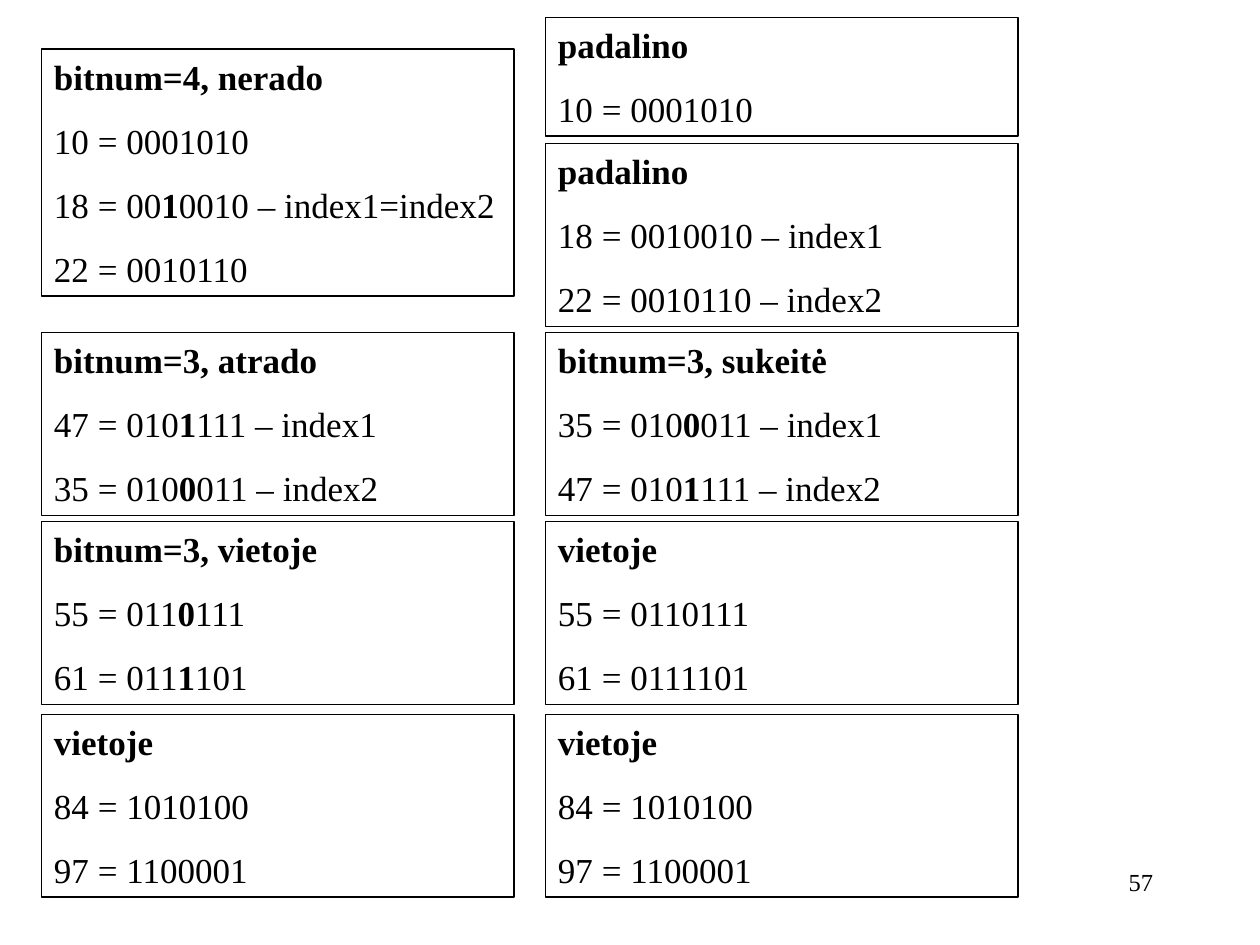
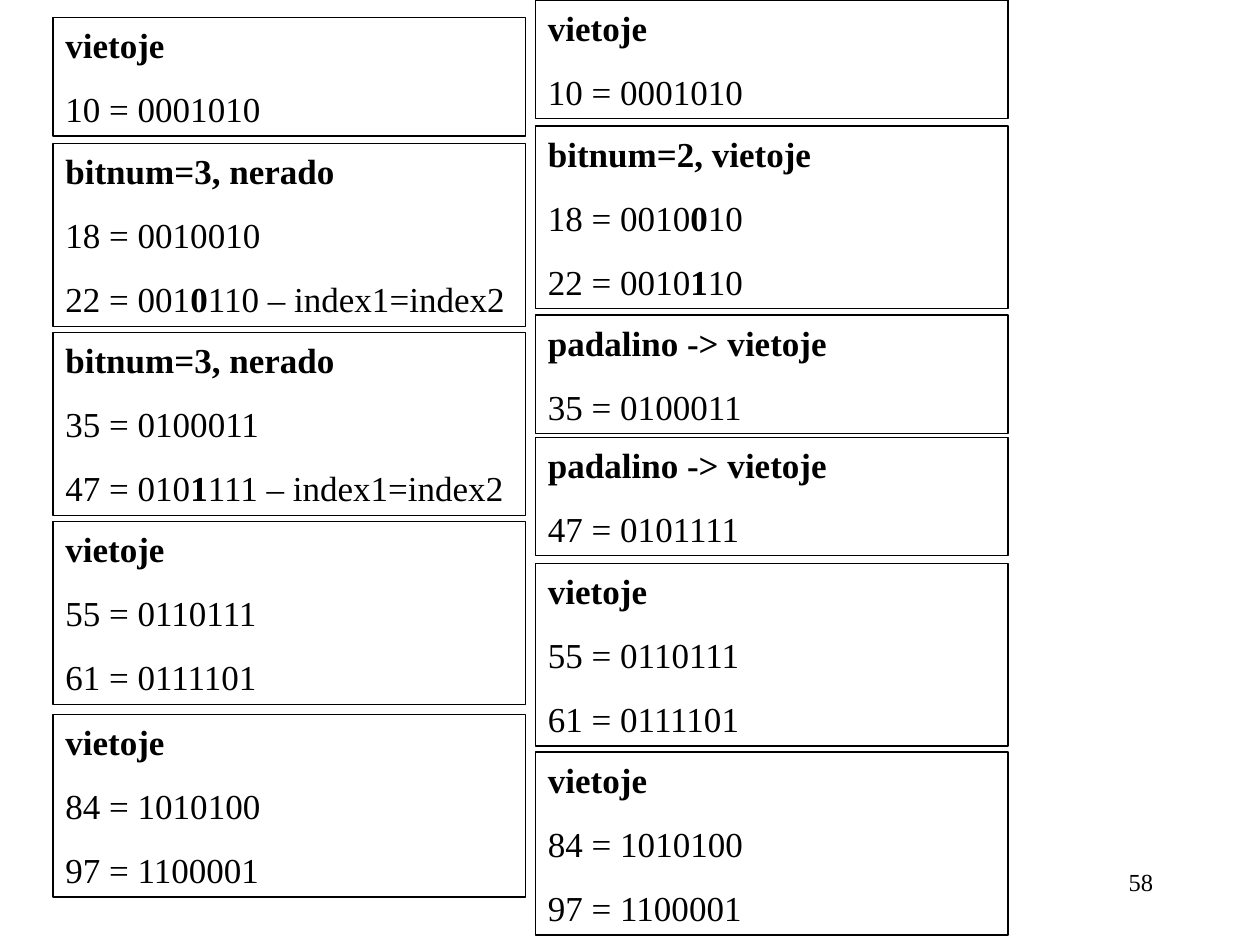
"""Builds two slides of boxes that trace a binary radix sort."""
from pptx import Presentation
from pptx.dml.color import RGBColor
from pptx.enum.shapes import MSO_SHAPE
from pptx.enum.text import MSO_ANCHOR, MSO_AUTO_SIZE, PP_ALIGN
from pptx.util import Inches, Pt

RECTANGLE = MSO_SHAPE.RECTANGLE
TOP = MSO_ANCHOR.TOP
GROW = MSO_AUTO_SIZE.SHAPE_TO_FIT_TEXT
LEFT, RIGHT = PP_ALIGN.LEFT, PP_ALIGN.RIGHT

COLORS = {"ink": "000000", "paper": "FFFFFF"}
FONT = "Times New Roman"
BLANK_LAYOUT = 6
FIRST_NUMBER = 57
BOX_WIDTH = 3.75
LINE_PITCH = 0.51
THIN, THICK = 0.75, 1

LAST_BOX = ["vietoje", "84 = 1010100", "97 = 1100001"]
FIFTIES_BOX = ["vietoje", "55 = 0110111", "61 = 0111101"]
TEN_BOX = ["vietoje", "10 = 0001010"]

# Each column is its left edge and its boxes: top, line width, lines; *…* marks bold bits.
SLIDES = [
    [
        (0.33, [
            (0.39, THIN, ["bitnum=4, nerado", "10 = 0001010",
                          "18 = 00*1*0010 – index1=index2", "22 = 0010110"]),
            (2.64, THIN, ["bitnum=3, atrado", "47 = 010*1*111 – index1",
                          "35 = 010*0*011 – index2"]),
            (4.14, THIN, ["bitnum=3, vietoje", "55 = 011*0*111", "61 = 011*1*101"]),
            (5.67, THICK, LAST_BOX),
        ]),
        (4.33, [
            (0.14, THIN, ["padalino", "10 = 0001010"]),
            (1.14, THIN, ["padalino", "18 = 0010010 – index1", "22 = 0010110 – index2"]),
            (2.64, THIN, ["bitnum=3, sukeitė", "35 = 010*0*011 – index1",
                          "47 = 010*1*111 – index2"]),
            (4.14, THIN, FIFTIES_BOX),
            (5.67, THICK, LAST_BOX),
        ]),
    ],
    [
        (0.42, [
            (0.14, THIN, TEN_BOX),
            (1.14, THIN, ["bitnum=3, nerado", "18 = 0010010",
                          "22 = 001*0*110 – index1=index2"]),
            (2.64, THIN, ["bitnum=3, nerado", "35 = 0100011",
                          "47 = 010*1*111 – index1=index2"]),
            (4.14, THIN, FIFTIES_BOX),
            (5.67, THICK, LAST_BOX),
        ]),
        (4.25, [
            (0, THIN, TEN_BOX),
            (1, THIN, ["bitnum=2, vietoje", "18 = 0010*0*10", "22 = 0010*1*10"]),
            (2.5, THIN, ["padalino -> vietoje", "35 = 0100011"]),
            (3.47, THIN, ["padalino -> vietoje", "47 = 0101111"]),
            (4.47, THIN, FIFTIES_BOX),
            (5.97, THICK, LAST_BOX),
        ]),
    ],
]


class Deck:
    """Holds the shared style and the current slide."""

    def __init__(self):
        self.presentation = Presentation()
        self.presentation.slide_width = Inches(10)
        self.presentation.slide_height = Inches(7.5)
        self.slide = None

    def color(self, name):
        """Return a named colour."""
        return RGBColor.from_string(COLORS[name])

    def add_slide(self):
        """Start a blank slide."""
        layout = self.presentation.slide_layouts[BLANK_LAYOUT]
        self.slide = self.presentation.slides.add_slide(layout)
        fill = self.slide.background.fill
        fill.solid()
        fill.fore_color.rgb = self.color("paper")

    def style_run(self, run, size, bold=False):
        """Give a run the shared font."""
        run.font.name = FONT
        run.font.size = Pt(size)
        run.font.bold = bold
        run.font.color.rgb = self.color("ink")

    def add_line(self, paragraph, line, is_heading):
        """Write one line, with its marked bits in bold."""
        paragraph.alignment = LEFT
        paragraph.space_before = Pt(12.5)
        for index, part in enumerate(line.split("*")):
            run = paragraph.add_run()
            run.text = part
            self.style_run(run, 20, is_heading or index % 2 == 1)

    def add_box(self, left, top, line_width, lines):
        """Draw an outlined box with a bold heading and its lines."""
        height = LINE_PITCH * len(lines) - 0.08
        shape = self.slide.shapes.add_shape(
            RECTANGLE, Inches(left), Inches(top), Inches(BOX_WIDTH), Inches(height))
        shape.shadow.inherit = False
        shape.fill.background()
        shape.line.color.rgb = self.color("ink")
        shape.line.width = Pt(line_width)
        text_frame = shape.text_frame
        text_frame.word_wrap = True
        text_frame.auto_size = GROW
        text_frame.vertical_anchor = TOP
        for index, line in enumerate(lines):
            paragraph = text_frame.add_paragraph() if index else text_frame.paragraphs[0]
            self.add_line(paragraph, line, index == 0)

    def add_slide_number(self, number):
        """Write the slide number at the lower right."""
        shape = self.slide.shapes.add_textbox(
            Inches(7.17), Inches(6.83), Inches(2.08), Inches(0.5))
        shape.text_frame.word_wrap = True
        shape.text_frame.text = str(number)
        paragraph = shape.text_frame.paragraphs[0]
        paragraph.alignment = RIGHT
        self.style_run(paragraph.runs[0], 14)


def main():
    """Build and save the slides."""
    deck = Deck()
    for number, columns in enumerate(SLIDES, FIRST_NUMBER):
        deck.add_slide()
        for left, boxes in columns:
            for top, line_width, lines in boxes:
                deck.add_box(left, top, line_width, lines)
        deck.add_slide_number(number)
    deck.presentation.save("out.pptx")


if __name__ == "__main__":
    main()
